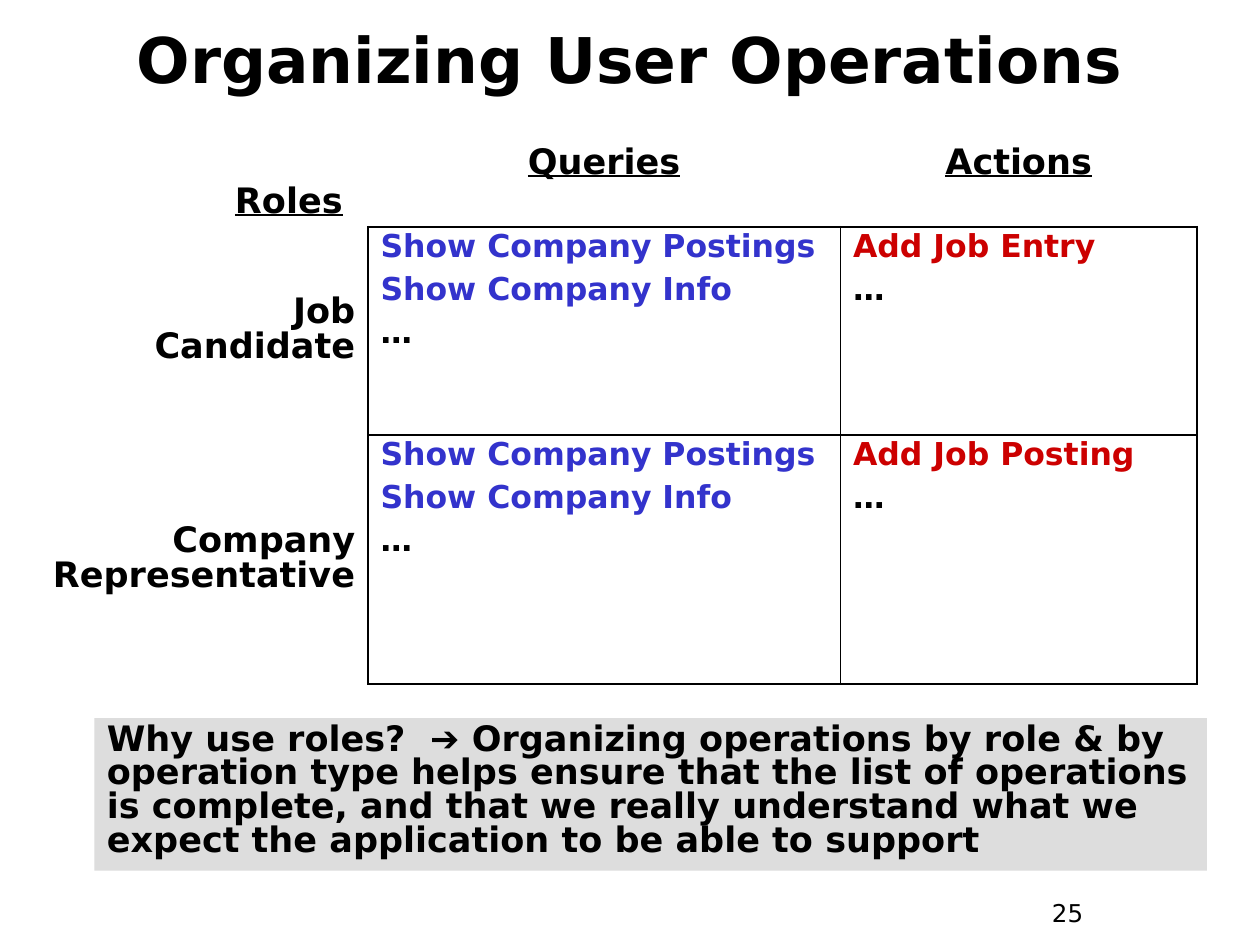
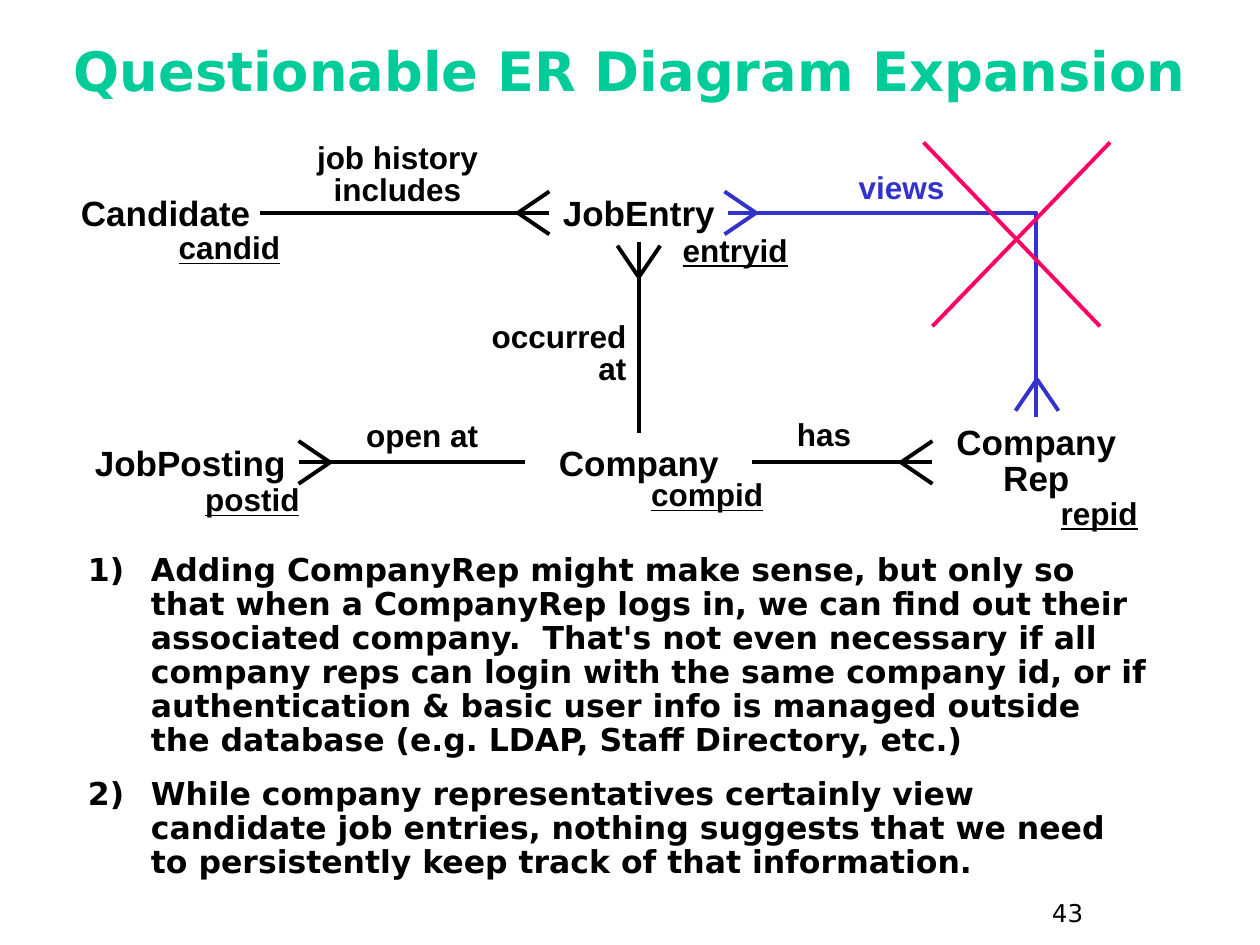
import pptx
import pptx.util
import pptx.dml.color
import pptx.enum.shapes
import pptx.enum.text
import pptx.oxml
import pptx.oxml.ns
from pptx.util import Inches

ALIGN = pptx.enum.text.PP_ALIGN
ANCHOR = pptx.enum.text.MSO_ANCHOR
SHAPE = pptx.enum.shapes.MSO_SHAPE
CONNECTOR = pptx.enum.shapes.MSO_CONNECTOR
TOP, LEFT, BOTTOM, RIGHT = range(4)

BLACK, WHITE, GREY = "000000", "FFFFFF", "DDDDDD"
BLUE, RED, GREEN, PINK = "3333CC", "CC0000", "00CC99", "FF0066"
HEADING_FONT, DIAGRAM_FONT = "DejaVu Sans", "Arial"


def rgb(hex_string):
    return pptx.dml.color.RGBColor.from_string(hex_string)


def add_xml(parent, tag, **attributes):
    child = pptx.oxml.parse_xml(f"<a:{tag} {pptx.oxml.ns.nsdecls('a')}/>")
    for key, value in attributes.items():
        child.set(key, str(value))
    parent.append(child)
    return child


class Deck:
    """Holds the shared style and the slide being built."""

    def __init__(self):
        self.presentation = pptx.Presentation()
        self.presentation.slide_width = Inches(10)
        self.presentation.slide_height = Inches(7.5)
        self.slide = None

    def start_slide(self, title, number, top, height, size, color=BLACK):
        self.slide = self.presentation.slides.add_slide(self.presentation.slide_layouts[5])
        heading = self.slide.shapes.title
        heading.left, heading.top = Inches(0.33), Inches(top)
        heading.width, heading.height = Inches(9.33), Inches(height)
        heading.text_frame.auto_size = pptx.enum.text.MSO_AUTO_SIZE.NONE
        self.set_text(heading.text_frame, [title], size, color, align=ALIGN.CENTER,
                      anchor=ANCHOR.MIDDLE)
        self.text(str(number), 8.25, 7.08, 0.75, 0.37, size=14, bold=False)

    def set_text(self, frame, paragraphs, size, color=BLACK, font=HEADING_FONT, bold=True,
                 underline=None, align=ALIGN.LEFT, anchor=ANCHOR.TOP, spacing=1.0,
                 gap=0, numbered=False):
        """Fill a frame; a paragraph is a string or a list of (text, font) runs."""
        frame.word_wrap = True
        frame.vertical_anchor = anchor
        for index, content in enumerate(paragraphs):
            paragraph = frame.paragraphs[0] if index == 0 else frame.add_paragraph()
            if isinstance(content, str):
                paragraph.text = content
            else:
                for run_text, run_font in content:
                    run = paragraph.add_run()
                    run.text = run_text
                    run.font.name = run_font
            if numbered:
                properties = paragraph._p.get_or_add_pPr()
                properties.set("marL", str(Inches(0.5)))
                properties.set("indent", str(-Inches(0.5)))
                add_xml(properties, "buAutoNum", type="arabicParenR")
            paragraph.alignment = align
            paragraph.line_spacing = spacing
            paragraph.space_before = pptx.util.Pt(gap if index else 0)
            paragraph.font.size = pptx.util.Pt(size)
            paragraph.font.name = font
            paragraph.font.bold = bold
            paragraph.font.underline = underline
            paragraph.font.color.rgb = rgb(color)

    def text(self, content, left, top, width, height, **style):
        box = self.slide.shapes.add_textbox(
            Inches(left), Inches(top), Inches(width), Inches(height))
        paragraphs = [content] if isinstance(content, str) else content
        self.set_text(box.text_frame, paragraphs, **style)

    def box(self, paragraphs, left, top, width, height, fill, **style):
        panel = self.slide.shapes.add_shape(
            SHAPE.RECTANGLE, Inches(left), Inches(top), Inches(width), Inches(height))
        panel.shadow.inherit = False
        panel.fill.solid()
        panel.fill.fore_color.rgb = rgb(fill)
        panel.line.fill.background()
        self.set_text(panel.text_frame, paragraphs, **style)
        return panel

    def entity(self, name, left, center_y, width, height=0.46):
        panel = self.box([name], left, center_y - height / 2, width, height, WHITE,
                         size=20, font=DIAGRAM_FONT, align=ALIGN.CENTER,
                         anchor=ANCHOR.MIDDLE, spacing=0.85 if "\n" in name else 1.0)
        panel.text_frame.word_wrap = False
        return panel

    def label(self, content, left, top, width, height=0.36, **style):
        self.text(content, left, top, width, height, size=18, font=DIAGRAM_FONT,
                  spacing=0.85, **style)

    def line(self, start=(0, 0), end=(0, 0), color=BLACK, kind=CONNECTOR.STRAIGHT):
        connector = self.slide.shapes.add_connector(
            kind, *(Inches(value) for value in (*start, *end)))
        connector.line.color.rgb = rgb(color)
        connector.line.width = pptx.util.Pt(2.25)
        add_xml(connector._element.spPr, "effectLst")
        return connector

    def relation(self, source, source_side, target, target_side, color=BLACK, corner=False):
        connector = self.line(color=color,
                              kind=CONNECTOR.ELBOW if corner else CONNECTOR.STRAIGHT)
        connector.begin_connect(source, source_side)
        connector.end_connect(target, target_side)
        if corner:
            connector._element.spPr.prstGeom.set("prst", "bentConnector2")

    def crows_foot(self, x, y, dx, dy, color=BLACK):
        """Two toes spreading from (x, y) in the unit direction (dx, dy)."""
        for spread in (-0.17, 0.17):
            toe = (x + 0.25 * dx + spread * dy, y + 0.25 * dy + spread * dx)
            self.line((x, y), toe, color)

    def table(self, left, top, widths, heights):
        grid = self.slide.shapes.add_table(
            len(heights), len(widths), Inches(left), Inches(top),
            Inches(sum(widths)), Inches(sum(heights))).table
        grid.first_row = grid.horz_banding = False
        for column, width in zip(grid.columns, widths):
            column.width = Inches(width)
        for row, height in zip(grid.rows, heights):
            row.height = Inches(height)
        return grid

    def cell_style(self, cell, sides):
        """Clear the fill and draw only the named borders (of L, R, T, B)."""
        cell.fill.background()
        properties = cell._tc.get_or_add_tcPr()
        for position, side in enumerate("LRTB"):
            border = add_xml(properties, f"ln{side}", w=pptx.util.Pt(1.08))
            if side in sides:
                add_xml(add_xml(border, "solidFill"), "srgbClr", val=BLACK)
            else:
                add_xml(border, "noFill")
            properties.insert(position, border)


def build_operations(deck):
    deck.start_slide("Organizing User Operations", 25, 0.1, 0.73, 36)

    # Reason for using roles
    deck.box([[("Why use roles?  ", HEADING_FONT), ("➔", DIAGRAM_FONT),
               (" Organizing operations by role & by operation type helps ensure that "
                "the list of operations is complete, and that we really understand what "
                "we expect the application to be able to support", HEADING_FONT)]],
             0.75, 5.7, 8.83, 1.21, GREY, size=20, spacing=0.8)

    # Operations by role and type
    grid = deck.table(0.17, 0.92, [2.75, 3.75, 2.83], [0.88, 1.65, 1.98])
    for column, heading in enumerate(["Roles", "Queries", "Actions"]):
        cell = grid.cell(0, column)
        deck.cell_style(cell, "B" if column else "")
        deck.set_text(cell.text_frame, [heading], 20, underline=True, spacing=0.85,
                      align=ALIGN.CENTER if column else ALIGN.RIGHT)
        cell.vertical_anchor = ANCHOR.BOTTOM
        if column:
            cell.margin_bottom = Inches(0.36)
        else:
            cell.margin_right = Inches(0.2)

    queries = ["Show Company Postings", "Show Company Info"]
    roles = [("Job\nCandidate", queries, ["Add Job Entry"]),
             ("Company\nRepresentative", queries, ["Add Job Posting"])]
    for row, (role, *operations) in enumerate(roles, start=1):
        role_cell = grid.cell(row, 0)
        deck.cell_style(role_cell, "R")
        deck.set_text(role_cell.text_frame, [role], 20, align=ALIGN.RIGHT, spacing=0.85)
        role_cell.vertical_anchor = ANCHOR.MIDDLE
        for column, (names, color) in enumerate(zip(operations, (BLUE, RED)), start=1):
            cell = grid.cell(row, column)
            deck.cell_style(cell, "LRTB")
            deck.set_text(cell.text_frame, names + ["…"], 18, color, spacing=0.85, gap=6.8)
            cell.text_frame.paragraphs[-1].font.color.rgb = rgb(BLACK)


def build_er_diagram(deck):
    deck.start_slide("Questionable ER Diagram Expansion", 43, 0.14, 0.83, 31, GREEN)
    upper, lower = 1.69, 3.67

    # Entities
    candidate = deck.entity("Candidate", 0.57, upper, 1.49)
    job_entry = deck.entity("JobEntry", 4.36, upper, 1.42)
    job_posting = deck.entity("JobPosting", 0.65, lower, 1.72, 0.56)
    company = deck.entity("Company", 4.17, lower, 1.8)
    company_rep = deck.entity("Company\nRep", 7.4, lower, 1.65, 0.72)

    # Relationships
    deck.relation(candidate, RIGHT, job_entry, LEFT)
    deck.relation(job_posting, RIGHT, company, LEFT)
    deck.relation(company, RIGHT, company_rep, LEFT)
    deck.relation(job_entry, BOTTOM, company, TOP)
    deck.relation(job_entry, RIGHT, company_rep, TOP, BLUE, corner=True)

    # "Many" ends
    deck.crows_foot(4.11, upper, 1, 0)
    deck.crows_foot(5.07, 2.2, 0, -1)
    deck.crows_foot(2.62, lower, -1, 0)
    deck.crows_foot(7.15, lower, 1, 0)
    deck.crows_foot(6, upper, -1, 0, BLUE)
    deck.crows_foot(8.23, 3.01, 0, 1, BLUE)

    # Relationship names
    deck.label("job history includes", 1.99, 1.09, 2.33, 0.61, align=ALIGN.CENTER)
    deck.label("open at", 2.49, 3.3, 1.72, align=ALIGN.CENTER)
    deck.label("occurred\nat", 3.58, 2.51, 1.49, 0.61, align=ALIGN.RIGHT)
    deck.label("has", 5.68, 3.29, 1.72, align=ALIGN.CENTER)
    deck.label("views", 5.99, 1.33, 2.33, align=ALIGN.CENTER, color=BLUE)

    # Keys
    for key, left, top in [("candid", 1.32, 1.81), ("entryid", 5.32, 1.83),
                           ("postid", 1.53, 3.81), ("compid", 5.07, 3.77),
                           ("repid", 8.32, 3.92)]:
        deck.label(key, left, top, 1.33, underline=True)

    # Remarks
    deck.text(["Adding CompanyRep might make sense, but only so that when a CompanyRep "
               "logs in, we can find out their associated company.  That's not even "
               "necessary if all company reps can login with the same company id, or if "
               "authentication & basic user info is managed outside the database "
               "(e.g. LDAP, Staff Directory, etc.)",
               "While company representatives certainly view candidate job entries, "
               "nothing suggests that we need to persistently keep track of that "
               "information."],
              0.6, 4.35, 8.6, 2.69, size=18, spacing=0.9, gap=11.2, numbered=True)

    # Cross over the rejected relationship
    deck.line((7.33, 1.13), (8.73, 2.59), PINK)
    deck.line((8.81, 1.13), (7.4, 2.59), PINK)


def main():
    deck = Deck()
    build_operations(deck)
    build_er_diagram(deck)
    deck.presentation.save("out.pptx")


if __name__ == "__main__":
    main()
